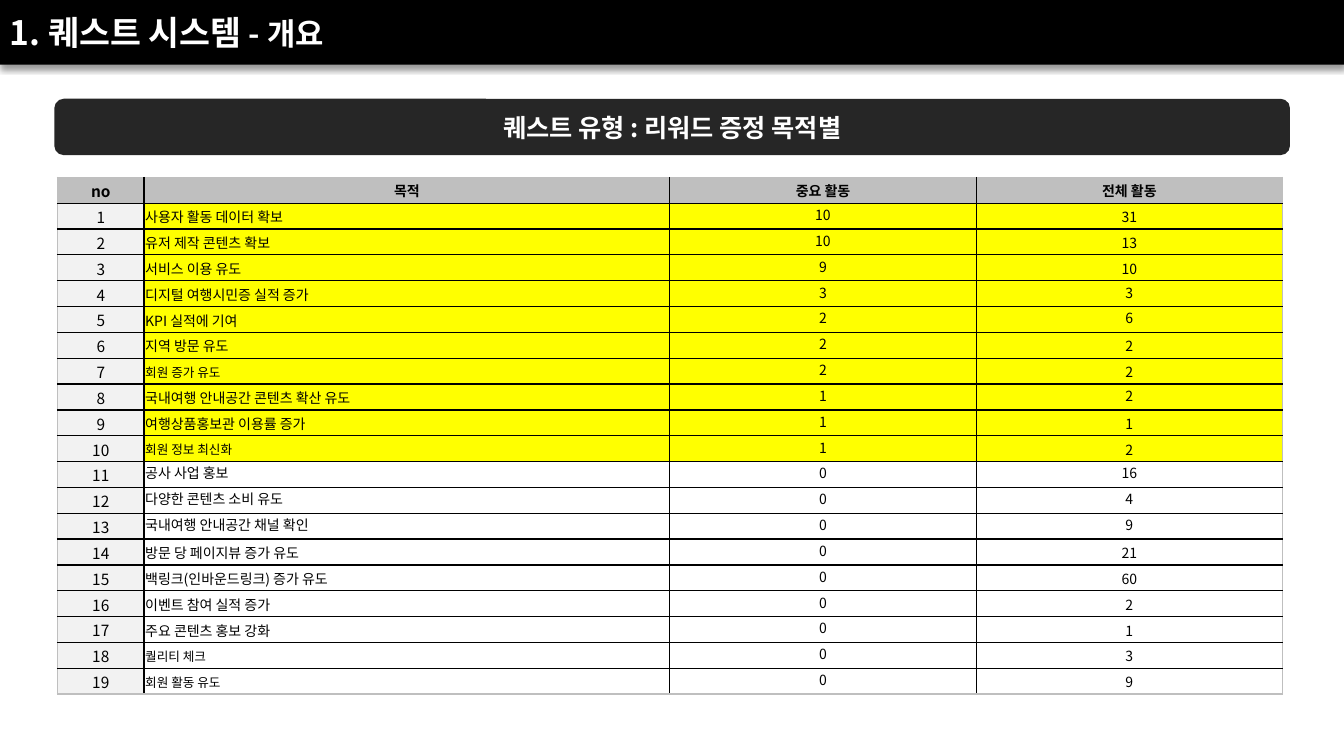
from lxml.etree import SubElement
from pptx import Presentation
from pptx.dml.color import RGBColor
from pptx.enum.shapes import MSO_SHAPE
from pptx.enum.text import MSO_ANCHOR, PP_ALIGN
from pptx.oxml import parse_xml
from pptx.oxml.ns import nsdecls, qn
from pptx.util import Cm, Pt

BLACK = RGBColor(0x00, 0x00, 0x00)
WHITE = RGBColor(0xFF, 0xFF, 0xFF)
DARK = RGBColor(0x26, 0x26, 0x26)
GRAY = RGBColor(0xBF, 0xBF, 0xBF)
PALE = RGBColor(0xF2, 0xF2, 0xF2)
YELLOW = RGBColor(0xFF, 0xFF, 0x00)
FACE = "Noto Sans CJK KR"

WIDTHS = (2.18, 13.25, 7.72, 7.72)
HEADS = ("no", "목적", "중요 활동", "전체 활동")
KEY_ROWS = 10  # goals marked in yellow
SMALL = {7, 10, 18, 19}  # goals set in 9 pt
HIGH_GOAL = {11, 12, 13}  # goals set at the top of their cell
HIGH_ALL = {4, 5, 8} | HIGH_GOAL  # totals set at the top of their cell
GOALS = (
    ("사용자 활동 데이터 확보", 10, 31),
    ("유저 제작 콘텐츠 확보", 10, 13),
    ("서비스 이용 유도", 9, 10),
    ("디지털 여행시민증 실적 증가", 3, 3),
    ("KPI 실적에 기여", 2, 6),
    ("지역 방문 유도", 2, 2),
    ("회원 증가 유도", 2, 2),
    ("국내여행 안내공간 콘텐츠 확산 유도", 1, 2),
    ("여행상품홍보관 이용률 증가", 1, 1),
    ("회원 정보 최신화", 1, 2),
    ("공사 사업 홍보", 0, 16),
    ("다양한 콘텐츠 소비 유도", 0, 4),
    ("국내여행 안내공간 채널 확인", 0, 9),
    ("방문 당 페이지뷰 증가 유도", 0, 21),
    ("백링크(인바운드링크) 증가 유도", 0, 60),
    ("이벤트 참여 실적 증가", 0, 2),
    ("주요 콘텐츠 홍보 강화", 0, 1),
    ("퀄리티 체크", 0, 3),
    ("회원 활동 유도", 0, 9),
)


def apply(item, values):
    for name, value in values.items():
        setattr(item, name, value)


def write(para, text, size, color, bold=False):
    run = para.add_run()
    run.text = text
    apply(run.font, {"name": FACE, "size": Pt(size), "bold": bold})
    run.font.color.rgb = color
    SubElement(run.font._element, qn("a:ea"), typeface=FACE)


def panel(slide, kind, box, color):
    shape = slide.shapes.add_shape(kind, *map(Cm, box))
    shape.shadow.inherit = False
    shape.fill.solid()
    shape.fill.fore_color.rgb = color
    shape.line.fill.background()
    return shape


def header(slide, box):
    band = panel(slide, MSO_SHAPE.RECTANGLE, box, BLACK)
    glow = parse_xml(
        f'<a:outerShdw {nsdecls("a")} blurRad="{Pt(4)}" dist="{Pt(3)}" '
        'dir="5400000" algn="t" rotWithShape="0"><a:srgbClr val="000000">'
        '<a:alpha val="40000"/></a:srgbClr></a:outerShdw>')
    band._element.spPr.find(qn("a:effectLst")).append(glow)

    left, top, _, height = box
    title = slide.shapes.add_textbox(Cm(left), Cm(top), Cm(12.95), Cm(height))
    apply(title.text_frame,
          {"word_wrap": True, "vertical_anchor": MSO_ANCHOR.MIDDLE})
    para = title.text_frame.paragraphs[0]
    write(para, "1. 퀘스트 시스템 ", 24, WHITE, True)
    write(para, "- 개요", 22, WHITE, True)


def banner(slide, box):
    frame = panel(slide, MSO_SHAPE.ROUNDED_RECTANGLE, box, DARK).text_frame
    frame.vertical_anchor = MSO_ANCHOR.MIDDLE
    para = frame.paragraphs[0]
    para.alignment = PP_ALIGN.CENTER
    write(para, "퀘스트 유형 : 리워드 증정 목적별", 18, WHITE, True)


def border(cell, sides):
    """Draw the four edges of a cell, given as side: colour."""
    props = cell._tc.get_or_add_tcPr()
    for spot, (side, color) in enumerate(sides.items()):
        props.insert(spot, parse_xml(
            f'<a:ln{side} {nsdecls("a")} w="{Pt(1)}"><a:solidFill>'
            f'<a:srgbClr val="{color}"/></a:solidFill></a:ln{side}>'))


def look(row, col):
    """Return size, fill and anchor of a cell."""
    size = 11 if col == 0 else 9 if col == 1 and row in SMALL else 10
    if row == 0:
        return size, GRAY, MSO_ANCHOR.MIDDLE
    fill = PALE if col == 0 else YELLOW if row <= KEY_ROWS else WHITE
    high = (False, row in HIGH_GOAL, True, row in HIGH_ALL)[col]
    return size, fill, MSO_ANCHOR.TOP if high else MSO_ANCHOR.MIDDLE


def goal_table(slide, box):
    rows = [HEADS] + [(num, *goal) for num, goal in enumerate(GOALS, 1)]
    last = len(rows) - 1
    table = slide.shapes.add_table(
        len(rows), len(HEADS), *map(Cm, box)).table
    apply(table, {"first_row": False, "horz_banding": False})
    for column, width in zip(table.columns, WIDTHS):
        column.width = Cm(width)
    for r, values in enumerate(rows):
        table.rows[r].height = Cm(box[3] / len(rows))
        for c, value in enumerate(values):
            cell = table.cell(r, c)
            size, fill, anchor = look(r, c)
            apply(cell, {"margin_left": Cm(0.03), "margin_right": Cm(0.03),
                         "margin_top": Cm(0.03), "margin_bottom": 0,
                         "vertical_anchor": anchor})
            cell.fill.solid()
            cell.fill.fore_color.rgb = fill
            border(cell, {"L": BLACK if c else GRAY,
                          "R": BLACK if c < len(HEADS) - 1 else GRAY,
                          "T": BLACK if r else GRAY,
                          "B": BLACK if r < last else GRAY})
            para = cell.text_frame.paragraphs[0]
            centred = r == 0 or c != 1
            para.alignment = PP_ALIGN.CENTER if centred else PP_ALIGN.LEFT
            write(para, str(value), size, BLACK, r == 0)


def main():
    deck = Presentation()
    apply(deck, {"slide_width": Cm(33.87), "slide_height": Cm(19.05)})
    slide = deck.slides.add_slide(deck.slide_layouts[6])
    header(slide, (0, 0, 33.87, 1.63))
    banner(slide, (1.37, 2.49, 31.14, 1.42))
    goal_table(slide, (1.45, 4.47, sum(WIDTHS), 13.03))
    deck.save("out.pptx")


if __name__ == "__main__":
    main()
